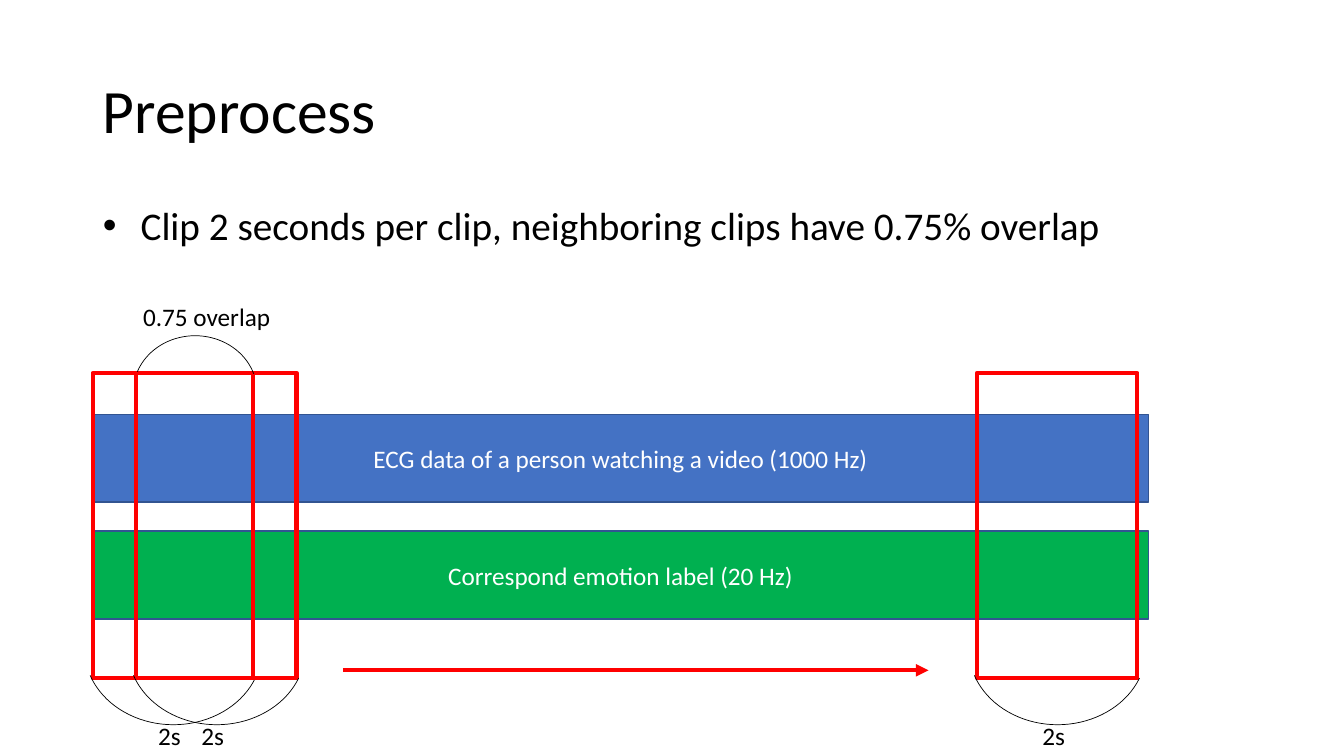
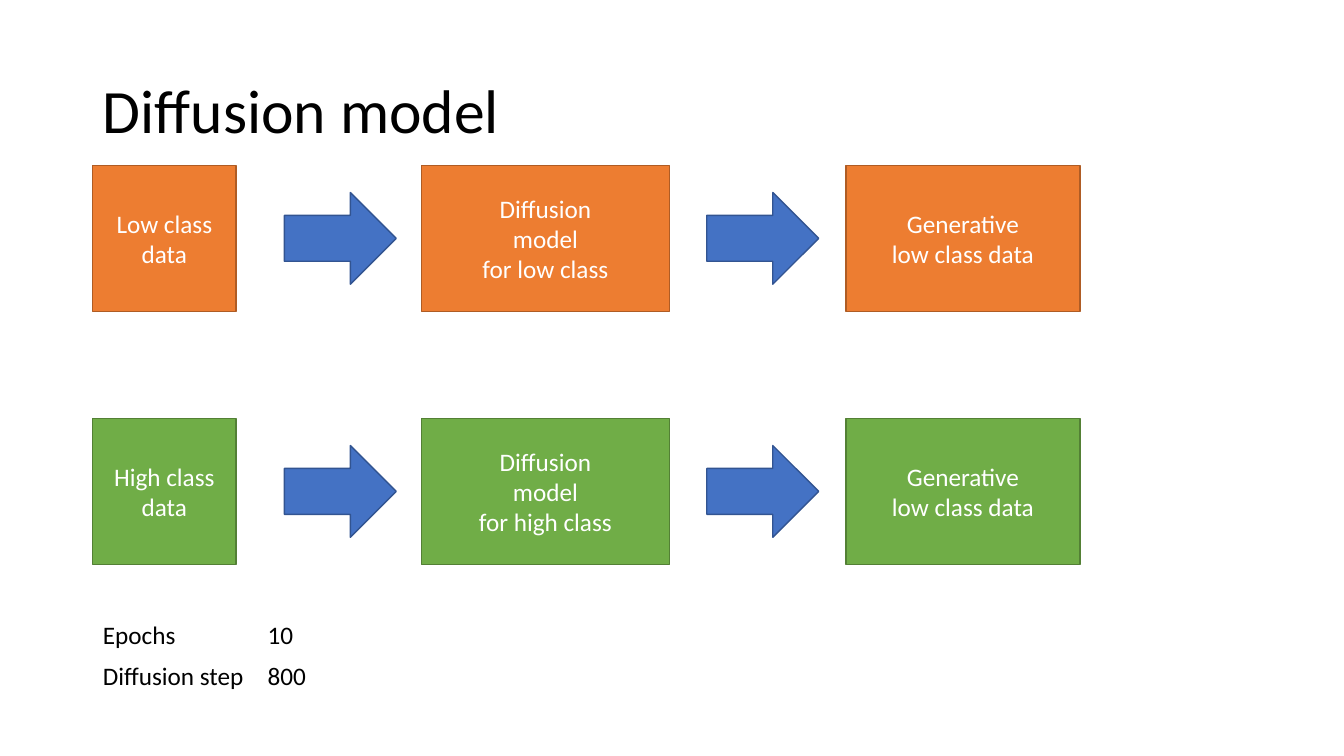
from dataclasses import dataclass

import pptx
import pptx.dml.color
import pptx.enum.shapes
import pptx.enum.text
import pptx.oxml
import pptx.oxml.ns
import pptx.util

Inches = pptx.util.Inches
Pt = pptx.util.Pt
SHAPE = pptx.enum.shapes.MSO_SHAPE
ALIGN = pptx.enum.text.PP_ALIGN
ANCHOR = pptx.enum.text.MSO_ANCHOR

BLACK, WHITE, RED = "000000", "FFFFFF", "FF0000"
BLUE, BLUE_EDGE, GREEN = "4472C4", "325491", "00B050"
ORANGE, ORANGE_EDGE = "ED7D31", "AF5C24"
LEAF, LEAF_EDGE = "70AD47", "538035"

TITLE_FONT = {"name": "Calibri", "size": Pt(44)}
BODY_FONT = {"name": "Calibri", "size": Pt(28)}
LABEL_FONT = {"name": "Calibri", "size": Pt(18)}

LEFT = 0.92


@dataclass(frozen=True)
class Box:
    x: float
    y: float
    w: float
    h: float

    def emu(self) -> tuple:
        return tuple(Inches(v) for v in (self.x, self.y, self.w, self.h))


@dataclass(frozen=True)
class Style:
    fill: str | None
    line: str
    width: float = 1


@dataclass(frozen=True)
class Flow:
    y: float
    style: Style
    steps: tuple[str, str, str]


BLUE_STYLE = Style(BLUE, BLUE_EDGE)
WINDOW_STYLE = Style(None, RED, 3)
ARC_STYLE = Style(None, BLACK, 0.5)


def rgb(color: str) -> pptx.dml.color.RGBColor:
    return pptx.dml.color.RGBColor.from_string(color)


def add_xml(parent, xml: str) -> None:
    tag, rest = xml.split(" ", 1)
    ns = pptx.oxml.ns.nsdecls("a")
    parent.append(pptx.oxml.parse_xml(f"<a:{tag} {ns} {rest}/>"))


def write(tf, text: str, font: dict, color: str = BLACK, **layout) -> None:
    """Fill a text frame with one paragraph per line, all formatted alike."""
    tf.text = text
    for p in tf.paragraphs:
        for key, value in layout.items():
            setattr(p, key, value)
        for r in p.runs:
            for key, value in font.items():
                setattr(r.font, key, value)
            r.font.color.rgb = rgb(color)


def place(sp, box: Box) -> None:
    sp.left, sp.top, sp.width, sp.height = box.emu()


def add_titled_slide(prs, layout: int, title: str):
    s = prs.slides.add_slide(prs.slide_layouts[layout])
    sp = s.shapes.title
    place(sp, Box(LEFT, 0.4, 11.5, 1.45))
    tf = sp.text_frame
    write(tf, title, TITLE_FONT, alignment=ALIGN.LEFT, line_spacing=0.9)
    tf.vertical_anchor = ANCHOR.MIDDLE
    tf.auto_size = pptx.enum.text.MSO_AUTO_SIZE.NONE
    return s


def add_bullet(s, text: str) -> None:
    sp = s.placeholders[1]
    place(sp, Box(LEFT, 2, 12.41, 1.6))
    tf = sp.text_frame
    pPr = tf.paragraphs[0]._p.get_or_add_pPr()
    pPr.set("marL", str(Inches(0.25)))
    pPr.set("indent", str(-Inches(0.25)))
    add_xml(pPr, 'buFont typeface="Arial"')
    add_xml(pPr, 'buChar char="•"')
    write(tf, text, BODY_FONT, line_spacing=0.9, space_before=Pt(0))
    tf.auto_size = pptx.enum.text.MSO_AUTO_SIZE.NONE


def add_shape(s, kind, box: Box, style: Style, text: str = ""):
    sp = s.shapes.add_shape(kind, *box.emu())
    sp.shadow.inherit = False
    if style.fill:
        sp.fill.solid()
        sp.fill.fore_color.rgb = rgb(style.fill)
    else:
        sp.fill.background()
    sp.line.color.rgb = rgb(style.line)
    sp.line.width = Pt(style.width)
    if text:
        sp.text_frame.vertical_anchor = ANCHOR.MIDDLE
        write(sp.text_frame, text, LABEL_FONT, WHITE, alignment=ALIGN.CENTER)
    return sp


def add_label(s, text: str, x: float, y: float, w: float) -> None:
    tf = s.shapes.add_textbox(*Box(x, y, w, 0.4).emu()).text_frame
    tf.word_wrap = True
    write(tf, text, LABEL_FONT)


def add_arc(s, box: Box, rotation: float = 0) -> None:
    """Draw the lower bow of an ellipse, or the upper one when turned by 180."""
    sp = add_shape(s, SHAPE.ARC, box, ARC_STYLE)
    sp.adjustments[0], sp.adjustments[1] = 11.673, 97.488
    sp.rotation = rotation


def add_clip_window(s, x: float) -> None:
    add_shape(s, SHAPE.RECTANGLE, Box(x, 3.7, 1.59, 3.03), WINDOW_STYLE)
    add_arc(s, Box(x - 0.08, 5.69, 1.76, 1.5))
    add_label(s, "2s", x + 0.55, 7.1, 0.97)


def add_arrow(s, x1: float, x2: float, y: float) -> None:
    line = s.shapes.add_connector(
        pptx.enum.shapes.MSO_CONNECTOR.STRAIGHT,
        Inches(x1), Inches(y), Inches(x2), Inches(y))
    line.line.color.rgb = rgb(RED)
    line.line.width = Pt(3)
    add_xml(line.line._get_or_add_ln(), 'tailEnd type="triangle"')
    add_xml(line._element.spPr, "effectLst ")


def add_flow(s, flow: Flow) -> None:
    columns = ((LEFT, 1.42), (4.18, 2.46), (8.39, 2.32))
    for (x, w), text in zip(columns, flow.steps):
        add_shape(s, SHAPE.RECTANGLE, Box(x, flow.y, w, 1.45), flow.style, text)
    for x in (2.82, 7.01):
        add_shape(s, SHAPE.RIGHT_ARROW, Box(x, flow.y + 0.27, 1.11, 0.91),
                  BLUE_STYLE)


def add_settings_table(s, rows: tuple) -> None:
    box = Box(LEFT, 6.11, 3.27, 0.81)
    table = s.shapes.add_table(len(rows), len(rows[0]), *box.emu()).table
    table.first_row = table.horz_banding = False
    for i, row in enumerate(rows):
        for j, text in enumerate(row):
            cell = table.cell(i, j)
            cell.fill.background()
            write(cell.text_frame, text, LABEL_FONT)


def build_preprocess(prs) -> None:
    s = add_titled_slide(prs, 1, "Preprocess")
    add_bullet(s, "Clip 2 seconds per clip, neighboring clips have 0.75% overlap")
    bands = (
        (4.11, BLUE, "ECG data of a person watching a video (1000 Hz)"),
        (5.27, GREEN, "Correspond emotion label (20 Hz)"),
    )
    for y, fill, text in bands:
        add_shape(s, SHAPE.RECTANGLE, Box(LEFT, y, 10.47, 0.87),
                  Style(fill, BLUE_EDGE), text)
    for x in (LEFT, 1.35, 9.69):
        add_clip_window(s, x)
    add_arc(s, Box(1.32, 3.33, 1.23, 1.12), rotation=180)
    add_label(s, "0.75 overlap", 1.32, 2.94, 1.61)
    add_arrow(s, 3.4, 9.21, 6.65)


def build_diffusion(prs) -> None:
    s = add_titled_slide(prs, 5, "Diffusion model")
    flows = (
        Flow(1.64, Style(ORANGE, ORANGE_EDGE),
             ("Low class\ndata", "Diffusion\nmodel\nfor low class",
              "Generative\nlow class data")),
        Flow(4.15, Style(LEAF, LEAF_EDGE),
             ("High class\ndata", "Diffusion\nmodel\nfor high class",
              "Generative\nlow class data")),
    )
    for flow in flows:
        add_flow(s, flow)
    add_settings_table(s, (("Epochs", "10"), ("Diffusion step", "800")))


def main() -> None:
    prs = pptx.Presentation()
    prs.slide_width, prs.slide_height = Inches(13.33), Inches(7.5)
    build_preprocess(prs)
    build_diffusion(prs)
    prs.save("out.pptx")


if __name__ == "__main__":
    main()
